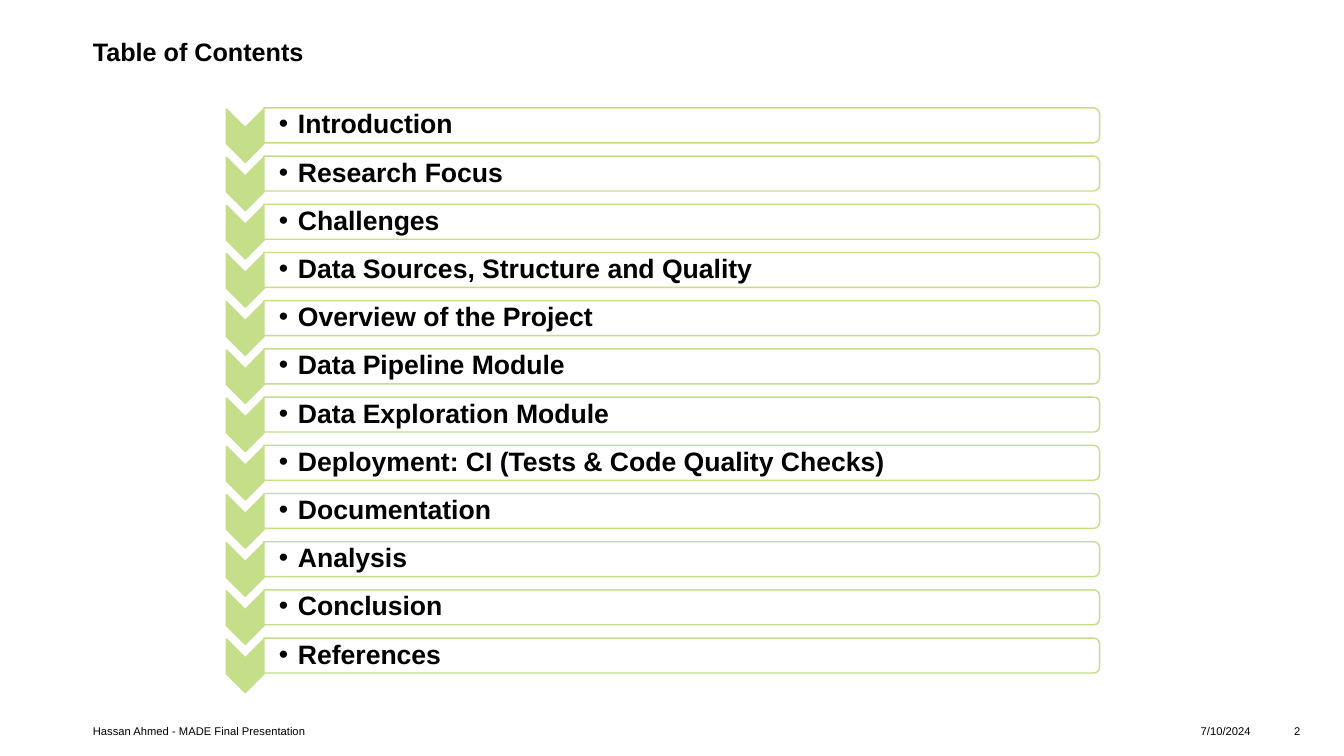
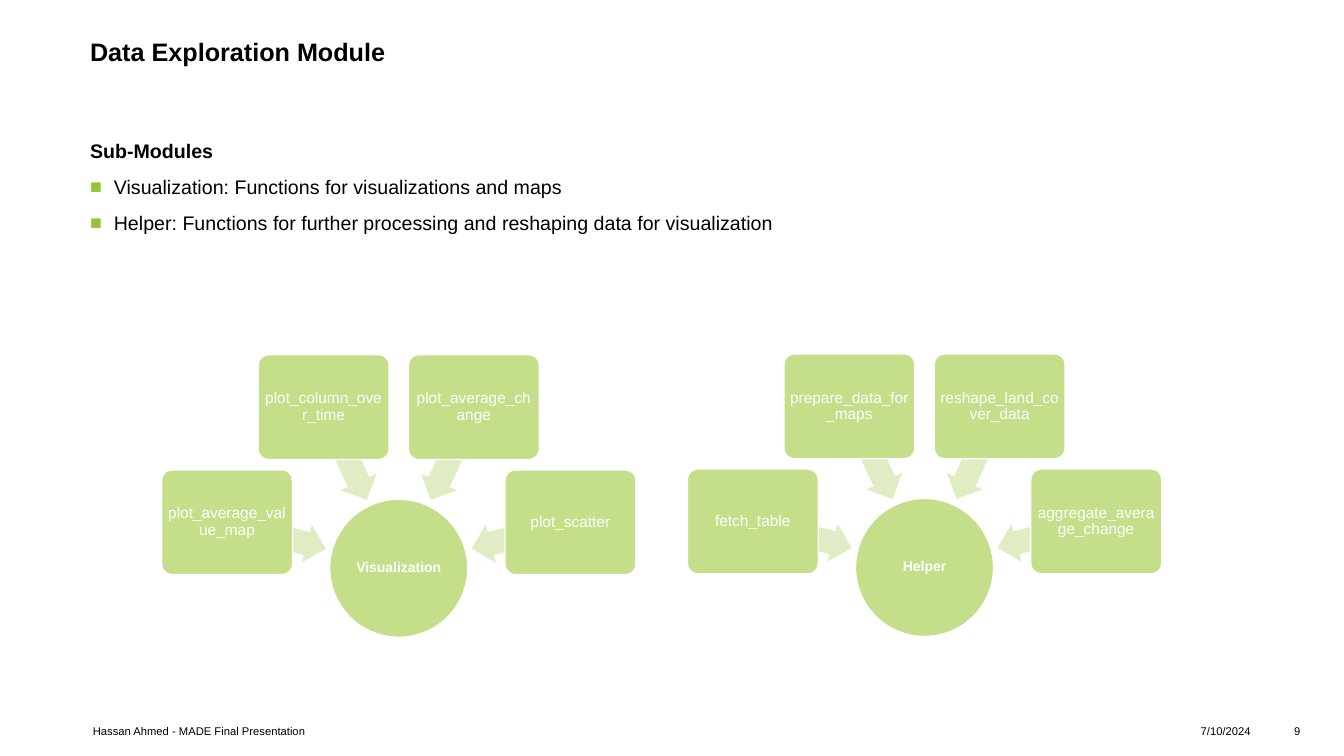
from math import cos, radians, sin

from lxml import etree
from pptx import Presentation
from pptx.dml.color import RGBColor
from pptx.enum.shapes import MSO_SHAPE
from pptx.enum.text import MSO_ANCHOR, PP_ALIGN
from pptx.oxml.ns import qn
from pptx.util import Cm, Pt

CHEVRON, BAR = MSO_SHAPE.CHEVRON, MSO_SHAPE.ROUND_2_SAME_RECTANGLE
OVAL, CARD, ARROW = MSO_SHAPE.OVAL, MSO_SHAPE.ROUNDED_RECTANGLE, MSO_SHAPE.LEFT_ARROW
LEFT, CENTER, RIGHT = PP_ALIGN.LEFT, PP_ALIGN.CENTER, PP_ALIGN.RIGHT
TOP, MIDDLE = MSO_ANCHOR.TOP, MSO_ANCHOR.MIDDLE

FONT = "Arial"
COLORS = {"text": "000000", "white": "FFFFFF", "green": "C5DE89",
          "pale": "DFECC4", "mark": "97C139"}

# Text, left, width, alignment; a missing text is the page number
FOOTER = [
    ("Hassan Ahmed - MADE Final Presentation", 2.34, 24.73, LEFT),
    ("7/10/2024", 27.05, 4.47, RIGHT),
    (None, 31.52, 2.34, CENTER),
]

TOPICS = [
    "Introduction",
    "Research Focus",
    "Challenges",
    "Data Sources, Structure and Quality",
    "Overview of the Project",
    "Data Pipeline Module",
    "Data Exploration Module",
    "Deployment: CI (Tests & Code Quality Checks)",
    "Documentation",
    "Analysis",
    "Conclusion",
    "References",
]
FIRST, SPAN = 3.16, 13.36  # middle of the first bar, distance to the last

MODULES = [
    "Sub-Modules",
    "Visualization: Functions for visualizations and maps",
    "Helper: Functions for further processing and reshaping data for visualization",
]
# Hub name, centre, functions from left to right
HUBS = [
    ("Helper", 23.3, 14.3, ["fetch_table", "prepare_data_for_maps",
                            "reshape_land_cover_data", "aggregate_average_change"]),
    ("Visualization", 10.05, 14.32, ["plot_average_value_map", "plot_column_over_time",
                                     "plot_average_change", "plot_scatter"]),
]
ANGLES = [195, 245, 295, 345]
CARD_DIST, ARROW_DIST = 4.48, 3.2


def rgb(name):
    return RGBColor.from_string(COLORS[name])


def write(shape, lines, size, color="text", bold=False, align=LEFT,
          anchor=TOP, inset=(0, 0, 0, 0)):
    frame = shape.text_frame
    frame.word_wrap = True
    frame.vertical_anchor = anchor
    (frame.margin_left, frame.margin_top,
     frame.margin_right, frame.margin_bottom) = map(Cm, inset)
    frame.text = "\n".join(lines)
    for para in frame.paragraphs:
        para.alignment = align
        for run in para.runs:
            font = run.font
            font.name, font.size, font.bold = FONT, Pt(size), bold
            font.color.rgb = rgb(color)
    return frame.paragraphs


def add_text(slide, left, top, width, height, lines, size, **style):
    box = slide.shapes.add_textbox(Cm(left), Cm(top), Cm(width), Cm(height))
    return write(box, lines, size, **style)


def add_form(slide, kind, x, y, width, height, fill, line=None, turn=0, adjust=()):
    """Draw a preset shape centred on x, y."""
    form = slide.shapes.add_shape(kind, Cm(x - width / 2), Cm(y - height / 2),
                                  Cm(width), Cm(height))
    form.shadow.inherit = False
    form.rotation = turn
    for i, value in enumerate(adjust):
        form.adjustments[i] = value
    form.fill.solid()
    form.fill.fore_color.rgb = rgb(fill)
    if line:
        form.line.color.rgb = rgb(line)
        form.line.width = Pt(1)
    else:
        form.line.fill.background()
    return form


def add_bullet(para, char, indent, color):
    props = para._p.get_or_add_pPr()
    props.set("marL", str(Cm(indent)))
    props.set("indent", str(-Cm(indent)))
    tint = etree.SubElement(props, qn("a:buClr"))
    etree.SubElement(tint, qn("a:srgbClr"), val=COLORS[color])
    etree.SubElement(props, qn("a:buFont"), typeface=FONT)
    etree.SubElement(props, qn("a:buChar"), char=char)


def add_page(deck, title, number, left):
    """Add a slide with the shared title and footer."""
    slide = deck.slides.add_slide(deck.slide_layouts[6])
    add_text(slide, left, 0.91, 28.7, 1.4, [title], 18, bold=True)
    for text, x, width, align in FOOTER:
        add_text(slide, x, 18.24, width, 0.36, [text or str(number)], 8, align=align)
    return slide


def add_topics(slide):
    step = SPAN / (len(TOPICS) - 1)
    for i, topic in enumerate(TOPICS):
        y = FIRST + i * step
        add_form(slide, CHEVRON, 6.18, y + 0.26, 1.35, 0.95, "green", "green", 90)
        add_form(slide, BAR, 17.18, y, 0.88, 21.06, "white", "green", 90)
        para = add_text(slide, 6.65, y - 0.4, 21, 0.8, [topic], 19, bold=True,
                        anchor=MIDDLE, inset=(0.38, 0.03, 0.03, 0.03))[0]
        para.line_spacing = 0.9
        add_bullet(para, "•", 0.48, "text")


def add_modules(slide):
    head, *items = add_text(slide, 2.27, 3.5, 28.8, 3, MODULES, 14)
    head.runs[0].font.bold = True
    for para in items:
        para.space_before = Pt(9)
        add_bullet(para, "■", 0.6, "mark")


def label(form, text, size, bold=False):
    para = write(form, [text], size, "white", bold, CENTER, MIDDLE, (0.05,) * 4)[0]
    para.line_spacing = 0.9


def add_hub(slide, name, x, y, parts):
    """Draw a hub with its functions on an arc above it."""
    hub = add_form(slide, OVAL, x, y, 3.48, 3.48, "green", "white")
    label(hub, name, 10, True)
    for angle, part in zip(ANGLES, parts):
        dx, dy = cos(radians(angle)), sin(radians(angle))
        add_form(slide, ARROW, x + ARROW_DIST * dx, y + ARROW_DIST * dy,
                 2.59, 0.99, "pale", turn=angle, adjust=(0.6, 0.5))
        card = add_form(slide, CARD, x + CARD_DIST * dx, y + CARD_DIST * dy,
                        3.3, 2.64, "green", "white", adjust=(0.1,))
        label(card, part, 11)


def main():
    deck = Presentation()
    deck.slide_width, deck.slide_height = Cm(33.87), Cm(19.05)
    add_topics(add_page(deck, "Table of Contents", 2, 2.34))
    slide = add_page(deck, "Data Exploration Module", 9, 2.27)
    add_modules(slide)
    for hub in HUBS:
        add_hub(slide, *hub)
    deck.save("out.pptx")


if __name__ == "__main__":
    main()
